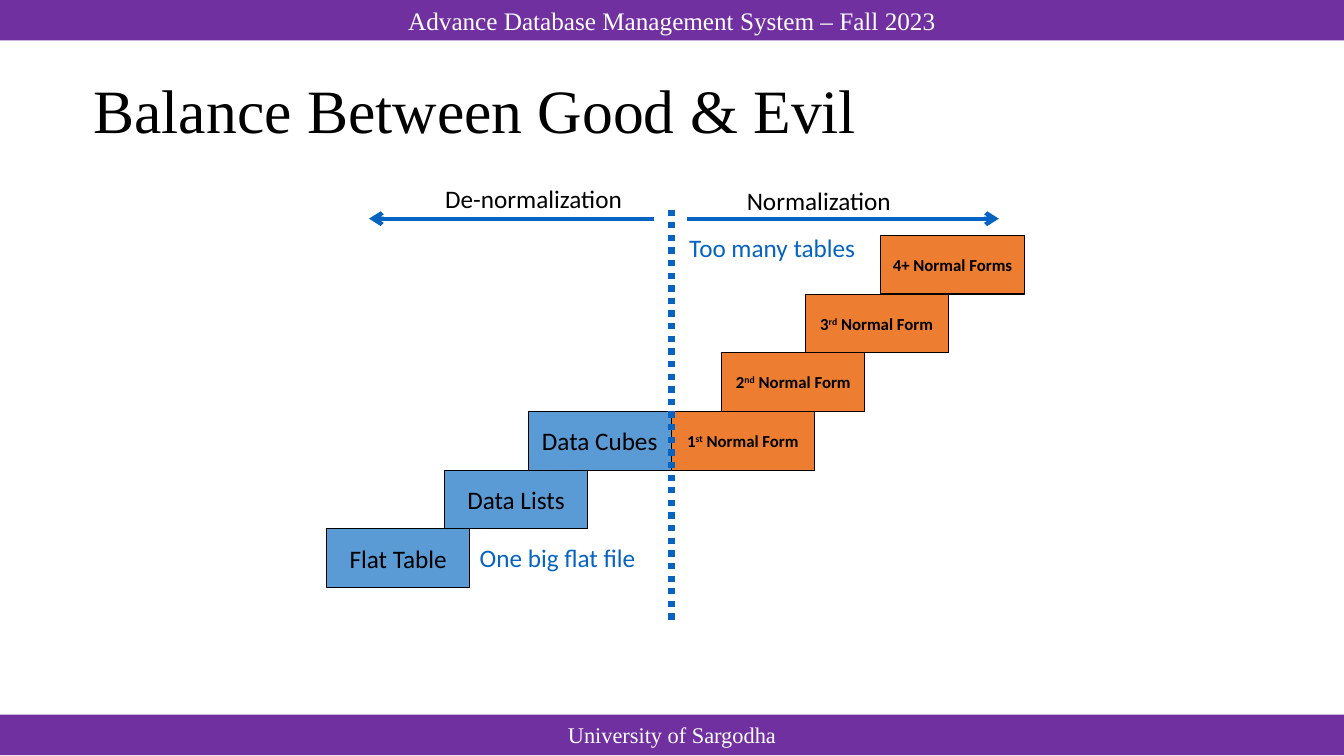
import pptx
import pptx.dml.color
import pptx.enum.dml
import pptx.enum.shapes
import pptx.enum.text
import pptx.oxml.ns
import pptx.util
from lxml import etree
from pptx.util import Cm

RGBColor = pptx.dml.color.RGBColor
ALIGN = pptx.enum.text.PP_ALIGN
ANCHOR = pptx.enum.text.MSO_ANCHOR

PURPLE = RGBColor(0x70, 0x30, 0xA0)
SKY = RGBColor(0x5B, 0x9B, 0xD5)
ORANGE = RGBColor(0xED, 0x7D, 0x31)
BLUE = RGBColor(0x05, 0x63, 0xC1)
BLACK = RGBColor(0, 0, 0)
WHITE = RGBColor(0xFF, 0xFF, 0xFF)

SERIF = "Times New Roman"
SANS = "Calibri"

SLIDE_WIDTH, SLIDE_HEIGHT = 33.87, 19.05
BAR_HEIGHT = 1.02
STEP_WIDTH, STEP_HEIGHT = 3.61, 1.48
LOWEST_STEP_TOP = 13.33
MIDDLE = 16.92
ARROW_Y = 5.51

# Left edge and level above the lowest step
FLAT_STEPS = [("Flat Table", 8.23, 0), ("Data Lists", 11.2, 1), ("Data Cubes", 13.31, 2)]
NORMAL_STEPS = [
    ("1^st^ Normal Form", MIDDLE, 2),
    ("2^nd^ Normal Form", 18.19, 3),
    ("3^rd^ Normal Form", 20.29, 4),
    ("4+ Normal Forms", 22.2, 5),
]
LABELS = [
    ("Normalization", 18.57, 4.55, 4.39, BLACK),
    ("De-normalization", 10.97, 4.5, 5.31, BLACK),
    ("One big flat file", 11.84, 13.54, 4.75, BLUE),
    ("Too many tables", 17.12, 5.72, 5.21, BLUE),
]


def write_text(box, text, size=18, font=SANS, color=BLACK, bold=False,
               align=ALIGN.LEFT, anchor=ANCHOR.TOP, wrap=True, spacing=None):
    """Fill the box with one paragraph; text between ^ marks is superscript."""
    frame = box.text_frame
    frame.word_wrap = wrap
    frame.vertical_anchor = anchor
    para = frame.paragraphs[0]
    para.alignment = align
    if spacing:
        para.line_spacing = spacing
    for index, part in enumerate(text.split("^")):
        span = para.add_run()
        span.text = part
        span.font.size = pptx.util.Pt(size)
        span.font.name = font
        span.font.bold = bold
        span.font.color.rgb = color
        if index % 2:
            span.font._element.set("baseline", "30000")


def add_box(page, left, top, width, height, fill, outline=None):
    box = page.shapes.add_shape(pptx.enum.shapes.MSO_SHAPE.RECTANGLE,
                                Cm(left), Cm(top), Cm(width), Cm(height))
    box.shadow.inherit = False
    box.fill.solid()
    box.fill.fore_color.rgb = fill
    if outline is None:
        box.line.fill.background()
    else:
        box.line.color.rgb = outline
        box.line.width = pptx.util.Pt(0.75)
    return box


def add_bar(page, top, text, size):
    bar = add_box(page, 0, top, SLIDE_WIDTH, BAR_HEIGHT, PURPLE)
    write_text(bar, text, size=size, font=SERIF, color=WHITE,
               align=ALIGN.CENTER, anchor=ANCHOR.MIDDLE)


def add_step(page, text, left, level, fill, size, bold=False):
    top = LOWEST_STEP_TOP - level * STEP_HEIGHT
    step = add_box(page, left, top, STEP_WIDTH, STEP_HEIGHT, fill, BLACK)
    write_text(step, text, size=size, bold=bold, align=ALIGN.CENTER,
               anchor=ANCHOR.MIDDLE, wrap=False)


def add_text(page, text, left, top, width, height, **text_format):
    box = page.shapes.add_textbox(Cm(left), Cm(top), Cm(width), Cm(height))
    write_text(box, text, **text_format)


def add_line(page, start, end, width, dash=None, arrow=False):
    line = page.shapes.add_connector(pptx.enum.shapes.MSO_CONNECTOR.STRAIGHT,
                                     Cm(start[0]), Cm(start[1]), Cm(end[0]), Cm(end[1]))
    line.line.color.rgb = BLUE
    line.line.width = pptx.util.Pt(width)
    if dash:
        line.line.dash_style = dash
    if arrow:
        outline = line.line._get_or_add_ln()
        etree.SubElement(outline, pptx.oxml.ns.qn("a:tailEnd"), type="arrow")
    etree.SubElement(line._element.spPr, pptx.oxml.ns.qn("a:effectLst"))


def main():
    deck = pptx.Presentation()
    deck.slide_width = Cm(SLIDE_WIDTH)
    deck.slide_height = Cm(SLIDE_HEIGHT)
    page = deck.slides.add_slide(deck.slide_layouts[6])

    add_bar(page, 0, "Advance Database Management System – Fall 2023", 18)
    add_bar(page, 18.01, "University of Sargodha", 16)
    add_text(page, "Balance Between Good & Evil", 2.11, BAR_HEIGHT, 29.21, 3.68,
             size=44, font=SERIF, anchor=ANCHOR.MIDDLE, spacing=0.9)

    for text, left, level in FLAT_STEPS:
        add_step(page, text, left, level, SKY, 18)
    for text, left, level in NORMAL_STEPS:
        add_step(page, text, left, level, ORANGE, 12, bold=True)

    add_line(page, (MIDDLE, 5.28), (MIDDLE, 15.67), 4.5,
             dash=pptx.enum.dml.MSO_LINE.ROUND_DOT)
    for start, end in [(17.32, 25.17), (16.48, 9.3)]:
        add_line(page, (start, ARROW_Y), (end, ARROW_Y), 3, arrow=True)
    for text, left, top, width, color in LABELS:
        add_text(page, text, left, top, width, BAR_HEIGHT, color=color)

    deck.save("out.pptx")


if __name__ == "__main__":
    main()
